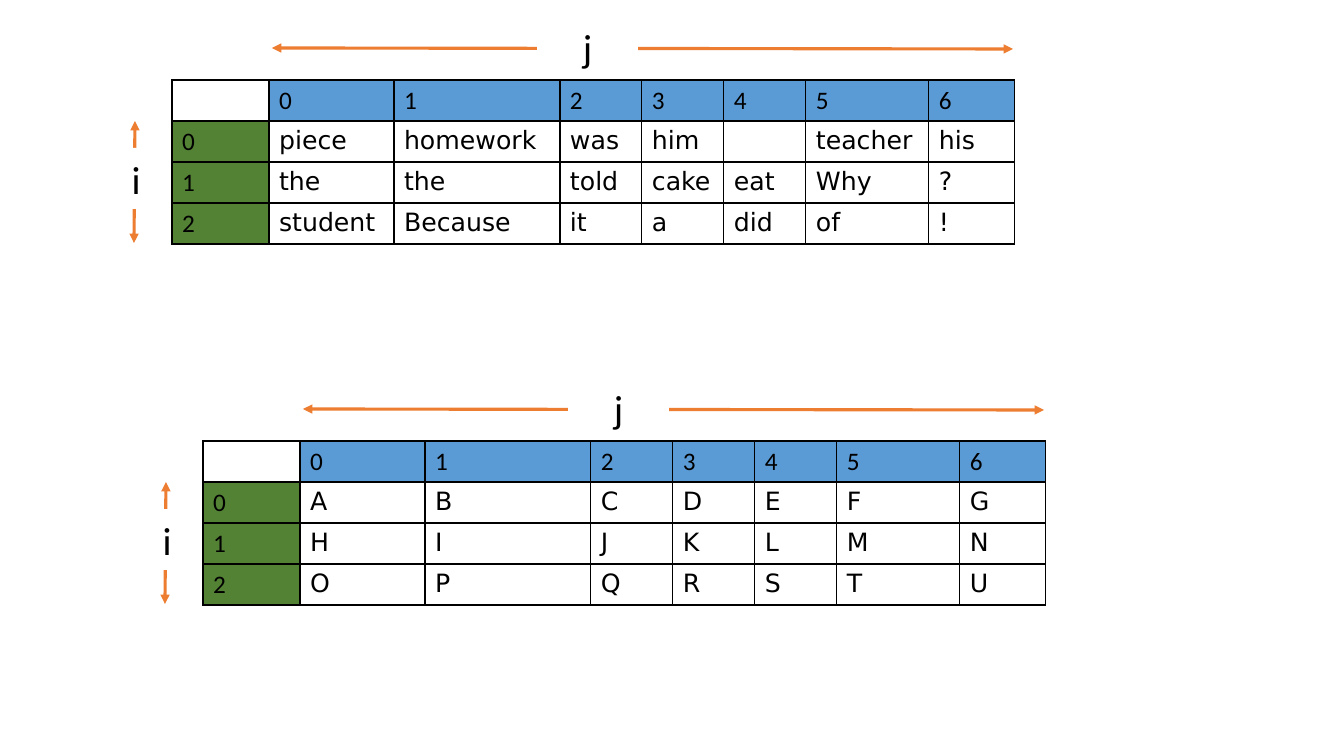
from lxml.etree import SubElement
from pptx import Presentation
from pptx.dml.color import RGBColor
from pptx.enum.shapes import MSO_CONNECTOR, MSO_SHAPE
from pptx.enum.text import MSO_ANCHOR, PP_ALIGN
from pptx.oxml import parse_xml
from pptx.oxml.ns import nsdecls, qn
from pptx.util import Emu, Pt

BLACK = RGBColor(0x00, 0x00, 0x00)
WHITE = RGBColor(0xFF, 0xFF, 0xFF)
BLUE = RGBColor(0x5B, 0x9B, 0xD5)
GREEN = RGBColor(0x54, 0x82, 0x35)
ORANGE = RGBColor(0xED, 0x7D, 0x31)

INDEX_FONT = "Calibri"
WORD_FONT = "DejaVu Sans"
COLUMN_WIDTHS = [97, 125, 166, 82, 82, 82, 123, 86]
ROW_HEIGHT = 41

WORDS = [
    ["piece", "homework", "was", "him", "", "teacher", "his"],
    ["the", "the", "told", "cake", "eat", "Why", "?"],
    ["student", "Because", "it", "a", "did", "of", "!"],
]
LETTERS = [list("ABCDEFG"), list("HIJKLMN"), list("OPQRSTU")]


def px(length):
    return Emu(round(length * 914400 / 100.8))


def style_text(paragraph, font_name, size):
    paragraph.font.name = font_name
    paragraph.font.size = Pt(size)
    paragraph.font.color.rgb = BLACK


def add_borders(cell):
    properties = cell._tc.get_or_add_tcPr()
    for side in ("lnL", "lnR", "lnT", "lnB"):
        properties.append(parse_xml(
            f'<a:{side} {nsdecls("a")} w="{Pt(1)}"><a:solidFill>'
            f'<a:srgbClr val="{BLACK}"/></a:solidFill></a:{side}>'))


def fill_cell(cell, text, font_name, color=None):
    add_borders(cell)
    if color is None:
        cell.fill.background()
    else:
        cell.fill.solid()
        cell.fill.fore_color.rgb = color
    cell.text = text
    style_text(cell.text_frame.paragraphs[0], font_name, 18)


def add_grid(slide, left, top, values):
    row_count = len(values) + 1
    grid = slide.shapes.add_table(
        row_count, len(COLUMN_WIDTHS), px(left), px(top),
        px(sum(COLUMN_WIDTHS)), px(ROW_HEIGHT * row_count)).table
    grid.first_row = grid.horz_banding = False
    for column, width in zip(grid.columns, COLUMN_WIDTHS):
        column.width = px(width)
    for row in grid.rows:
        row.height = px(ROW_HEIGHT)

    fill_cell(grid.cell(0, 0), "", INDEX_FONT, WHITE)
    for j in range(len(values[0])):
        fill_cell(grid.cell(0, j + 1), str(j), INDEX_FONT, BLUE)
    for i, row_values in enumerate(values):
        fill_cell(grid.cell(i + 1, 0), str(i), INDEX_FONT, GREEN)
        for j, value in enumerate(row_values):
            fill_cell(grid.cell(i + 1, j + 1), value, WORD_FONT)


def add_double_arrow(slide, x1, y1, x2, y2):
    arrow = slide.shapes.add_connector(
        MSO_CONNECTOR.STRAIGHT, px(x1), px(y1), px(x2), px(y2))
    arrow.line.color.rgb = ORANGE
    arrow.line.width = Pt(2.25)
    outline = arrow.line._get_or_add_ln()
    for end in ("a:headEnd", "a:tailEnd"):
        SubElement(outline, qn(end), type="triangle")
    SubElement(arrow._element.spPr, qn("a:effectLst"))


def add_index_label(slide, text, left, top, width, height):
    label = slide.shapes.add_shape(
        MSO_SHAPE.RECTANGLE, px(left), px(top), px(width), px(height))
    label.shadow.inherit = False
    label.fill.solid()
    label.fill.fore_color.rgb = WHITE
    label.line.fill.background()
    label.text_frame.text = text
    label.text_frame.vertical_anchor = MSO_ANCHOR.MIDDLE
    paragraph = label.text_frame.paragraphs[0]
    paragraph.alignment = PP_ALIGN.CENTER
    style_text(paragraph, INDEX_FONT, 28)


def add_indexed_grid(slide, left, top, values):
    add_grid(slide, left, top, values)
    add_double_arrow(slide, left + 100, top - 32, left + 841, top - 31)
    add_index_label(slide, "j", left + 365, top - 50, 101, 34)
    add_double_arrow(slide, left - 38, top + 163, left - 37, top + 41)
    add_index_label(slide, "i", left - 69, top + 68, 66, 61)


def main():
    presentation = Presentation()
    presentation.slide_width = px(1344)
    presentation.slide_height = px(756)
    slide = presentation.slides.add_slide(presentation.slide_layouts[6])
    add_indexed_grid(slide, 172, 80, WORDS)
    add_indexed_grid(slide, 203, 441, LETTERS)
    presentation.save("out.pptx")


if __name__ == "__main__":
    main()
